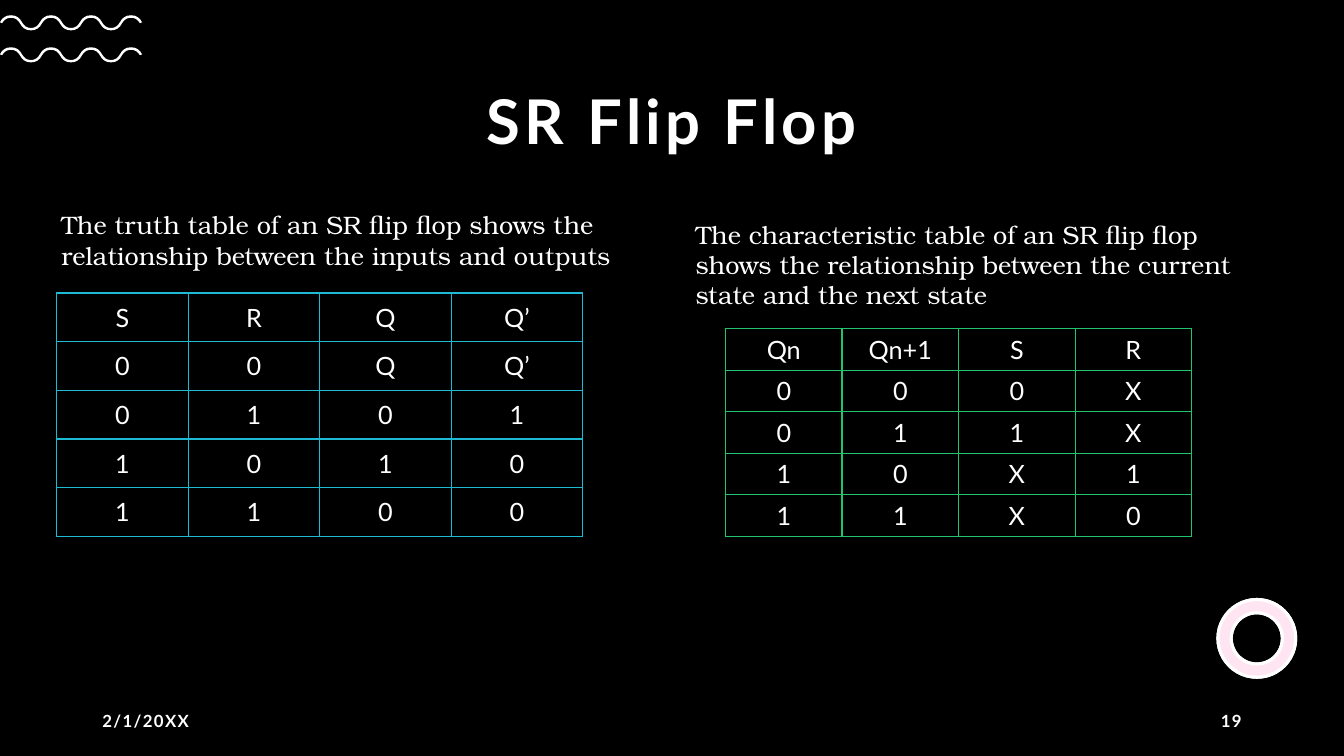
"""Builds the SR flip flop slide with its truth table and characteristic table."""
from lxml import etree
from pptx import Presentation
from pptx.dml.color import RGBColor
from pptx.enum.shapes import MSO_SHAPE
from pptx.enum.text import MSO_ANCHOR, MSO_AUTO_SIZE, PP_ALIGN
from pptx.oxml.ns import qn
from pptx.util import Pt

PX = 9525
LEFT, CENTER, RIGHT = PP_ALIGN.LEFT, PP_ALIGN.CENTER, PP_ALIGN.RIGHT
MIDDLE = MSO_ANCHOR.MIDDLE
DONUT = MSO_SHAPE.DONUT
GROW, FIXED = MSO_AUTO_SIZE.SHAPE_TO_FIT_TEXT, MSO_AUTO_SIZE.NONE
WHITE = "FFFFFF"
SANS, SERIF = "Lato", "TeX Gyre Bonum"


def paint(color_format, value):
    color_format.rgb = RGBColor.from_string(value)


def write(tf, text, size, font=SANS, bold=False, align=LEFT, spacing=0):
    tf.text = text
    p = tf.paragraphs[0]
    p.alignment = align
    r = p.runs[0]
    r.font.name, r.font.size, r.font.bold = font, Pt(size), bold
    paint(r.font.color, WHITE)
    if spacing:
        r.font._element.set("spc", str(spacing * 100))


prs = Presentation()
prs.slide_width, prs.slide_height = 1280 * PX, 720 * PX
s = prs.slides.add_slide(prs.slide_layouts[5])
s.background.fill.solid()
paint(s.background.fill.fore_color, "000000")

bumps = 7
for wave_top in (14.5, 45):
    edges = []
    for crest_half, trough_half, crest, mid, trough in (
            (10.5, 8.5, 0, 6.7, 12.2), (8.5, 10.5, 2.4, 7.6, 14.4)):
        points = [(10.5 - crest_half, mid)]
        for i in range(bumps):
            x = 10.5 + 19.05 * i
            half, peak = (trough_half, trough) if i % 2 else (crest_half, crest)
            bend = mid + 0.6 * (peak - mid)
            points += [(x - half + 2, bend), (x - half / 2, peak), (x, peak),
                       (x + half / 2, peak), (x + half - 2, bend), (x + half, mid)]
        edges.append([(round(100 * x), round(100 * (wave_top + y))) for x, y in points])
    outline = edges[0] + edges[1][::-1]
    builder = s.shapes.build_freeform(*outline[0], scale=PX / 100)
    builder.add_line_segments(outline[1:], close=True)
    wave = builder.convert_to_shape()
    lines = list(wave._element.iter(qn("a:lnTo")))
    if len(lines) > 12 * bumps + 1:
        lines = lines[:12 * bumps + 1]
    del lines[6 * bumps]
    for i in range(0, len(lines), 3):
        curve = etree.Element(qn("a:cubicBezTo"))
        lines[i].addprevious(curve)
        for line in lines[i:i + 3]:
            curve.append(line[0])
            line.getparent().remove(line)
    wave.shadow.inherit = False
    wave.fill.solid()
    paint(wave.fill.fore_color, WHITE)
    wave.line.fill.background()

for color, opacity in ((WHITE, 100), ("FF80BD", 20)):
    ring = s.shapes.add_shape(DONUT, 1160 * PX, 571 * PX, 74 * PX, 74 * PX)
    ring.adjustments[0] = 0.17
    ring.shadow.inherit = False
    ring.fill.solid()
    paint(ring.fill.fore_color, color)
    if opacity < 100:
        rgb = ring._element.spPr.find(qn("a:solidFill"))[0]
        etree.SubElement(rgb, qn("a:alpha")).set("val", str(opacity * 1000))
    paint(ring.line.color, WHITE)
    ring.line.width = Pt(2.25)

title = s.shapes.title
title.left, title.top, title.width, title.height = 88 * PX, 60 * PX, 1104 * PX, 118 * PX
tf = title.text_frame
write(tf, "SR Flip Flop", 44, bold=True, align=CENTER, spacing=3)
tf.vertical_anchor = MIDDLE
tf.auto_size = FIXED
tf.paragraphs[0].line_spacing = 0.9

for left, text, align in ((88, "2/1/20XX", LEFT), (904, "19", RIGHT)):
    tf = s.shapes.add_textbox(left * PX, 667 * PX, 288 * PX, 38 * PX).text_frame
    tf.word_wrap = True
    tf.vertical_anchor = MIDDLE
    write(tf, text, 12, bold=True, align=align, spacing=1)

captions = (
    (49, 195, 563, 68, "The truth table of an SR flip flop shows the "
     "relationship between the inputs and outputs"),
    (653, 204, 530, 97, "The characteristic table of an SR flip flop shows the "
     "relationship between the current state and the next state"),
)
for left, top, width, height, text in captions:
    tf = s.shapes.add_textbox(left * PX, top * PX, width * PX, height * PX).text_frame
    tf.word_wrap = True
    tf.auto_size = GROW
    write(tf, text, 18, font=SERIF)

tables = (
    (54, 279, 501, 232, "1EB9D3",
     ("S R Q Q’", "0 0 Q Q’", "0 1 0 1", "1 0 1 0", "1 1 0 0")),
    (691, 313, 444, 198, "21C46B",
     ("Qn Qn+1 S R", "0 0 0 X", "0 1 1 X", "1 0 X 1", "1 1 X 0")),
)
for left, top, width, height, border, rows in tables:
    table = s.shapes.add_table(
        len(rows), 4, left * PX, top * PX, width * PX, height * PX).table
    table.first_row = table.horz_banding = False
    for i, row in enumerate(rows):
        for j, value in enumerate(row.split()):
            cell = table.cell(i, j)
            write(cell.text_frame, value, 18, align=CENTER)
            cell.vertical_anchor = MIDDLE
            cell.margin_left = cell.margin_right = 2 * PX
            cell.margin_top = cell.margin_bottom = 4 * PX
            tcPr = cell._tc.get_or_add_tcPr()
            for side in ("a:lnL", "a:lnR", "a:lnT", "a:lnB"):
                ln = etree.SubElement(tcPr, qn(side))
                ln.set("w", str(Pt(1)))
                fill = etree.SubElement(ln, qn("a:solidFill"))
                etree.SubElement(fill, qn("a:srgbClr")).set("val", border)
            cell.fill.background()

prs.save("out.pptx")
